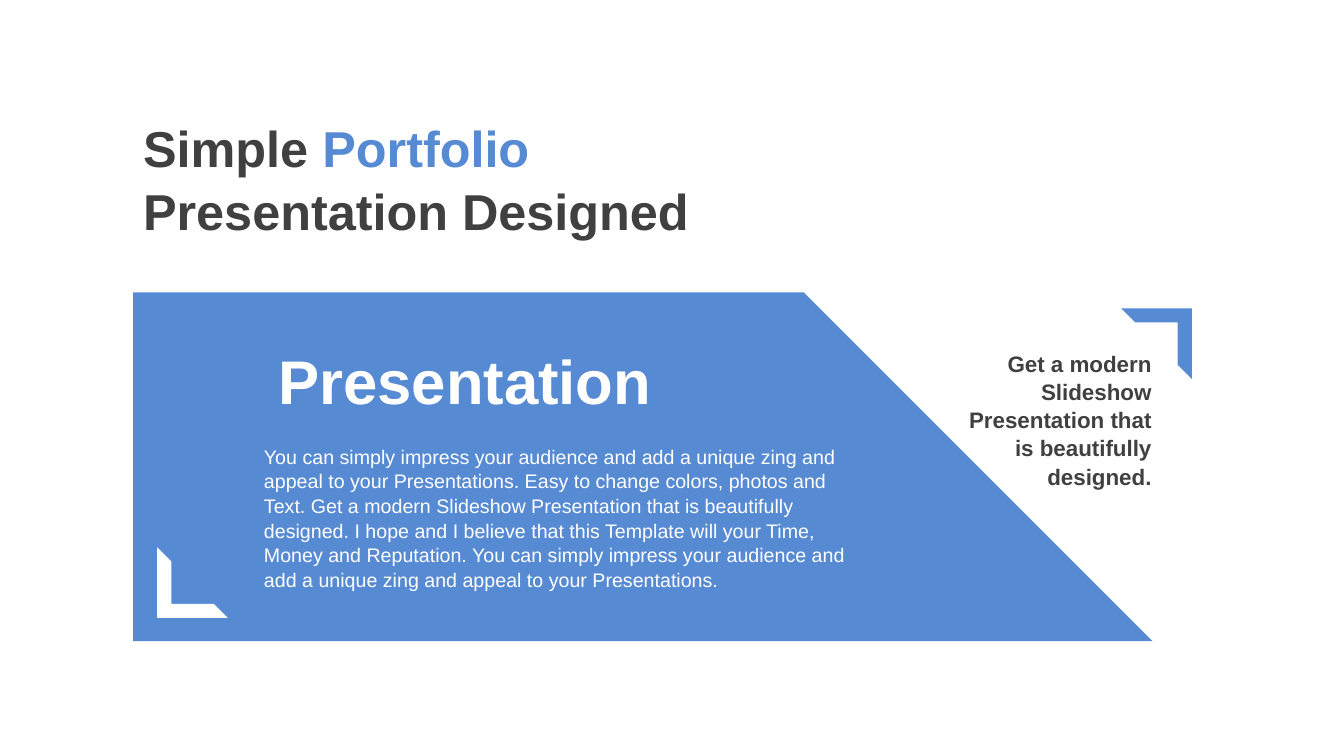
from pptx import Presentation
from pptx.dml.color import RGBColor
from pptx.enum.shapes import MSO_SHAPE as Shape
from pptx.enum.text import MSO_ANCHOR as Anchor, PP_ALIGN as Align
from pptx.util import Inches, Pt

BLUE, DARK, WHITE = "568AD3", "404040", "FFFFFF"
TITLE = [("Simple ", DARK), ("Portfolio ", BLUE), ("Presentation Designed", DARK)]
HEADING = [("Presentation", WHITE)]
BODY = [(
    "You can simply impress your audience and add a unique zing and appeal to your "
    "Presentations. Easy to change colors, photos and Text. Get a modern Slideshow "
    "Presentation that is beautifully designed. I hope and I believe that this Template "
    "will your Time, Money and Reputation. You can simply impress your audience and add "
    "a unique zing and appeal to your Presentations.", WHITE)]
TAGLINE = [("Get a modern Slideshow Presentation that is beautifully designed.", DARK)]

BANNER = [(1.32, 2.9), (7.97, 2.9), (11.43, 6.36), (1.32, 6.36)]
CORNERS = [(1.56, 5.43, 270, WHITE), (11.12, 3.06, 90, BLUE)]  # left, top, turn, colour
CORNER_SIZE, CORNER_THICKNESS = 0.7, 0.2


def rgb(value):
    return RGBColor.from_string(value)


def paint(shape, color):
    """Give a shape a plain fill with no outline or shadow."""
    shape.shadow.inherit = False
    shape.fill.solid()
    shape.fill.fore_color.rgb = rgb(color)
    shape.line.fill.background()


def add_text(page, spans, place, size, bold=True, align=Align.LEFT,
             anchor=Anchor.TOP, side=0.1, edge=0.05):
    box = page.shapes.add_textbox(*map(Inches, place))
    frame = box.text_frame
    frame.word_wrap = True
    frame.vertical_anchor = anchor
    frame.margin_left = frame.margin_right = Inches(side)
    frame.margin_top = frame.margin_bottom = Inches(edge)
    para = frame.paragraphs[0]
    para.alignment = align
    para.line_spacing = 1.05
    for text, color in spans:
        span = para.add_run()
        span.text = text
        span.font.name = "Arial"
        span.font.size = Pt(size)
        span.font.bold = bold
        span.font.color.rgb = rgb(color)


def main():
    deck = Presentation()
    deck.slide_width, deck.slide_height = Inches(13.33), Inches(7.5)
    page = deck.slides.add_slide(deck.slide_layouts[6])

    start, *rest = [(Inches(x), Inches(y)) for x, y in BANNER]
    outline = page.shapes.build_freeform(*start)
    outline.add_line_segments(rest, close=True)
    paint(outline.convert_to_shape(), BLUE)

    add_text(page, TITLE, (1.32, 1, 5.95, 1.52), 36, anchor=Anchor.MIDDLE)
    add_text(page, TAGLINE, (9.41, 3.41, 2.11, 1.45), 16, align=Align.RIGHT)
    add_text(page, BODY, (2.52, 4.35, 6.17, 1.51), 14, bold=False)
    add_text(page, HEADING, (2.52, 3.34, 5.18, 0.83), 44,
             anchor=Anchor.MIDDLE, side=0.24, edge=0.08)

    for left, top, turn, color in CORNERS:
        corner = page.shapes.add_shape(
            Shape.HALF_FRAME, Inches(left), Inches(top),
            Inches(CORNER_SIZE), Inches(CORNER_SIZE))
        corner.adjustments[0] = corner.adjustments[1] = CORNER_THICKNESS
        corner.rotation = turn
        paint(corner, color)

    deck.save("out.pptx")


if __name__ == "__main__":
    main()
